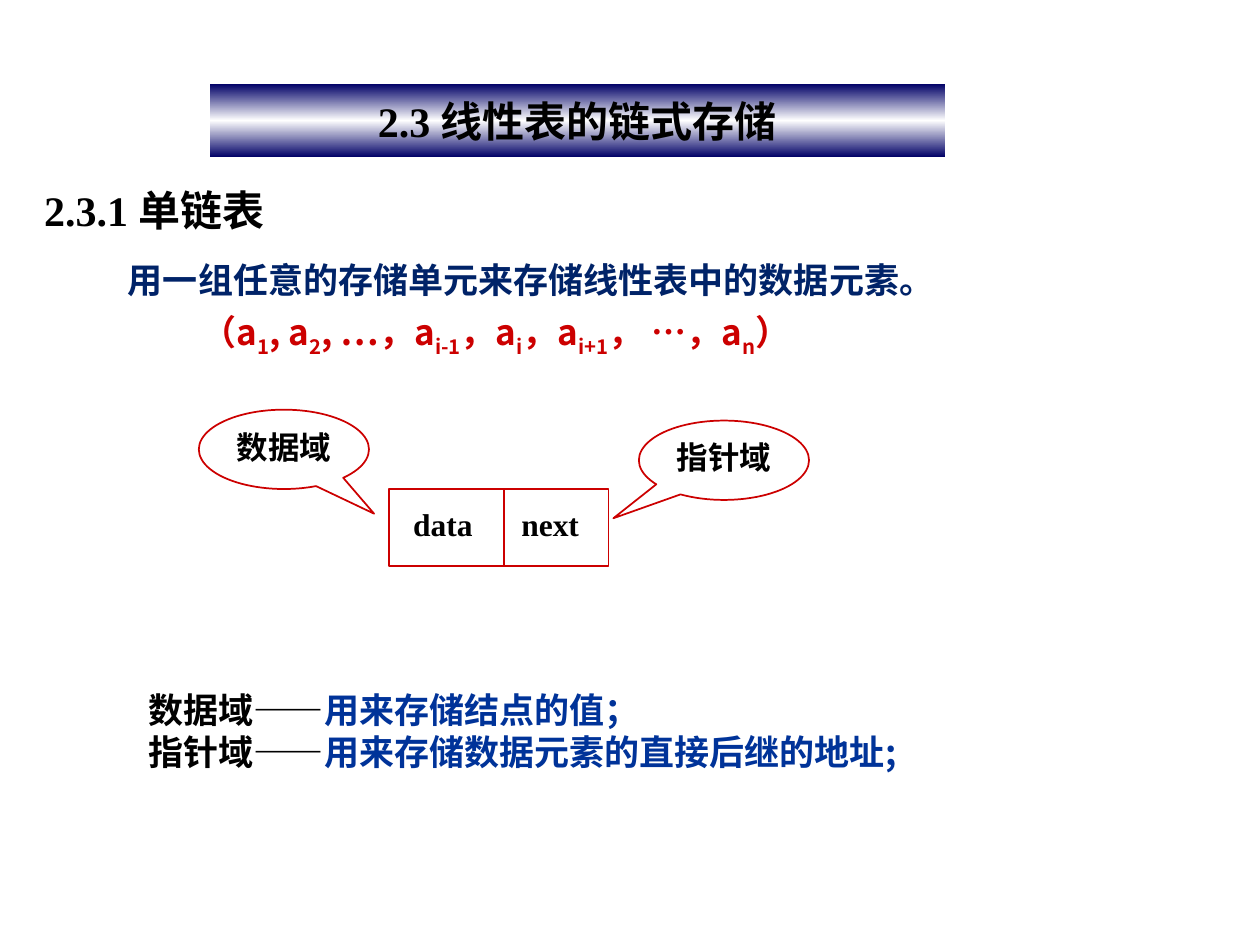
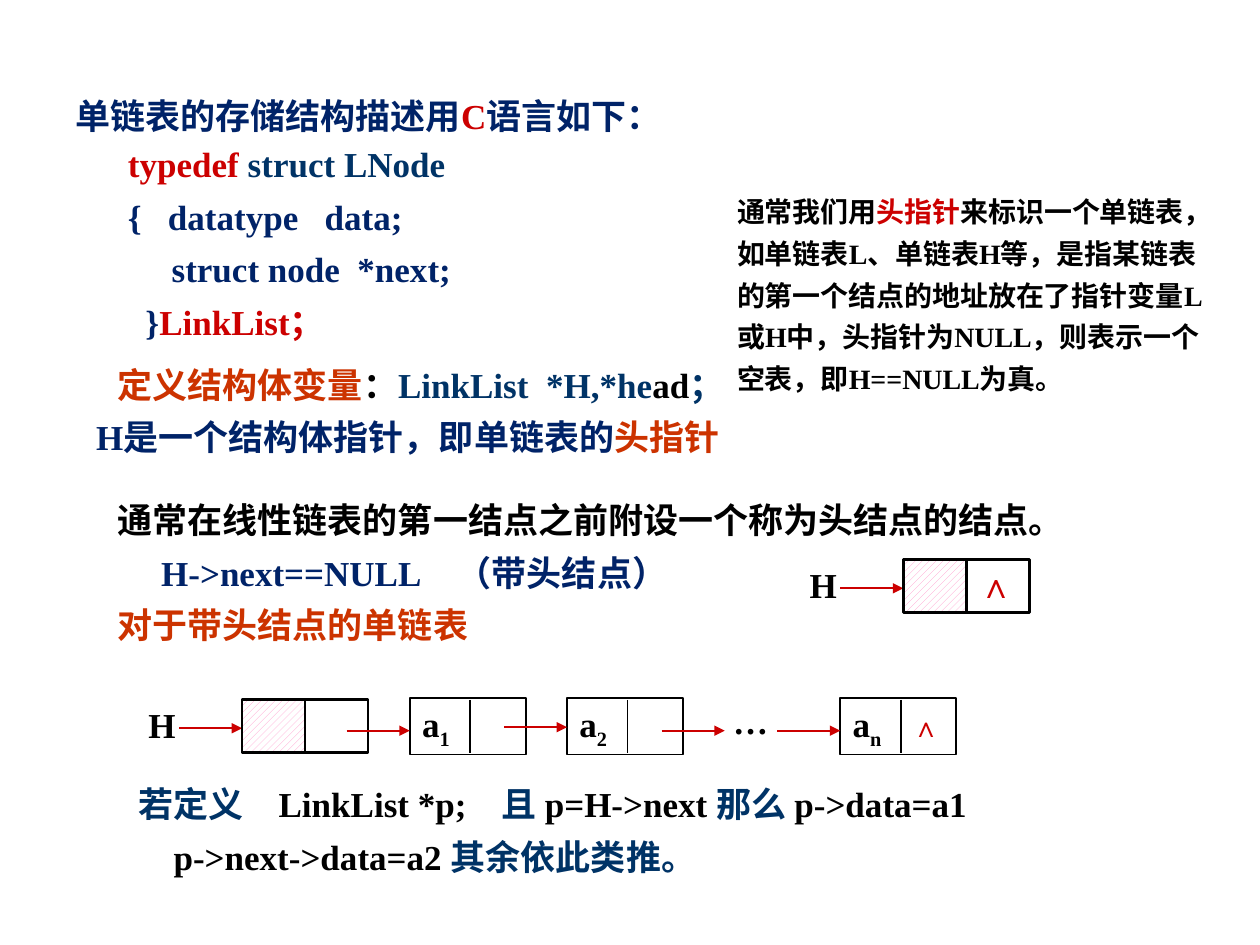
from copy import deepcopy
from dataclasses import dataclass

from lxml.etree import SubElement
from pptx import Presentation
from pptx.dml.color import RGBColor
from pptx.enum.dml import MSO_PATTERN
from pptx.enum.shapes import MSO_CONNECTOR, MSO_SHAPE
from pptx.enum.text import MSO_ANCHOR as Anchor, PP_ALIGN as Align
from pptx.oxml.ns import qn
from pptx.util import Cm, Pt


@dataclass(frozen=True)
class Theme:
    latin: str = "Times New Roman"
    chinese: str = "Noto Sans CJK SC"
    black: str = "000000"
    white: str = "FFFFFF"
    red: str = "CC0000"
    orange: str = "CC3300"
    navy: str = "002368"
    teal: str = "003366"
    blue: str = "003399"
    band: str = "000066"
    hatch: str = "FF99CC"
    heading: int = 24
    body: int = 20
    label: int = 18
    note: int = 16
    loose: float = 1.25


theme = Theme()


def add_text(slide, area, paragraphs, kind=None, outline=None, weight=1,
             size=theme.body, color=theme.black, font=theme.latin,
             align=Align.LEFT, anchor=Anchor.TOP, spacing=None, wrap=True,
             indents=(), tab=None):
    box = [Cm(value) for value in area]
    if kind is None:
        shape = slide.shapes.add_textbox(*box)
    else:
        shape = slide.shapes.add_shape(kind, *box)
        shape.shadow.inherit = False
        shape.fill.background()
        if outline:
            shape.line.color.rgb = RGBColor.from_string(outline)
            shape.line.width = Pt(weight)
        else:
            shape.line.fill.background()
    frame = shape.text_frame
    frame.word_wrap = wrap
    frame.vertical_anchor = anchor
    for index, runs in enumerate(paragraphs):
        paragraph = frame.paragraphs[0] if index == 0 else frame.add_paragraph()
        properties = paragraph._p.get_or_add_pPr()
        if index < len(indents):
            properties.set("marL", str(Cm(indents[index])))
        if tab:
            stops = SubElement(properties, qn("a:tabLst"))
            SubElement(stops, qn("a:tab"), pos=str(Cm(tab)), algn="l")
        paragraph.alignment = align
        if spacing:
            paragraph.line_spacing = spacing
        for text, run_color, run_size in [(*run, color, size)[:3] if len(run) == 1
                                          else (*run, size)[:3] for run in runs]:
            for position, part in enumerate(text.split("_")):
                if not part:
                    continue
                run = paragraph.add_run()
                run.text = part
                run.font.name = font
                run.font.size = Pt(run_size)
                run.font.bold = True
                run.font.color.rgb = RGBColor.from_string(run_color)
                run_properties = run._r.get_or_add_rPr()
                SubElement(run_properties, qn("a:ea"), typeface=theme.chinese)
                if position % 2:
                    run_properties.set("baseline", "-25000")
    return shape


def add_line(slide, start, end, color=theme.red, arrow=False):
    line = slide.shapes.add_connector(
        MSO_CONNECTOR.STRAIGHT, *[Cm(value) for value in (*start, *end)])
    line.line.color.rgb = RGBColor.from_string(color)
    line.line.width = Pt(1)
    if arrow:
        SubElement(line.line._get_or_add_ln(), qn("a:tailEnd"), type="triangle")
    SubElement(line._element.spPr, qn("a:effectLst"))


presentation = Presentation()
presentation.slide_width = Cm(25.4)
presentation.slide_height = Cm(19.05)
blank = presentation.slide_layouts[6]

slide = presentation.slides.add_slide(blank)
banner = add_text(slide, (4.23, 1.69, 14.82, 1.48), [[("2.3 线性表的链式存储",)]],
                  kind=MSO_SHAPE.RECTANGLE, size=theme.heading,
                  align=Align.CENTER, anchor=Anchor.MIDDLE)
banner.fill.gradient()
banner.fill.gradient_angle = 90
stop_list = banner._element.spPr.find(".//" + qn("a:gsLst"))
stop_list.append(deepcopy(stop_list[0]))
for stop, position, color in zip(banner.fill.gradient_stops, (0, 0.5, 1),
                                 (theme.band, theme.white, theme.band)):
    stop.position = position
    stop.color.rgb = RGBColor.from_string(color)

add_text(slide, (0.64, 3.6, 5.93, 1.27), [[("2.3.1 单链表",)]], size=theme.heading)
add_text(slide, (2.33, 4.87, 17.15, 1.32),
         [[("用一组任意的存储单元来存储线性表中的数据元素。",)]],
         color=theme.navy, spacing=theme.loose)
add_text(slide, (3.81, 6.14, 14.61, 1.09),
         [[("（a_1_, a_2_, …，a_i-1_，a_i_，a_i+1_， …，a_n_）",)]],
         color=theme.red, font=theme.chinese)
add_text(slide, (2.75, 13.76, 20.4, 1.96),
         [[("数据域——",), ("用来存储结点的值；", theme.blue)],
          [("指针域——",), ("用来存储数据元素的直接后继的地址;", theme.blue)]],
         font=theme.chinese)

add_text(slide, (7.85, 9.86, 4.42, 1.55), [], kind=MSO_SHAPE.RECTANGLE,
         outline=theme.red)
add_line(slide, (10.16, 9.86), (10.16, 11.41))
for left, field in ((8.08, "data"), (10.26, "next")):
    add_text(slide, (left, 10.06, 1.78, 1.02), [[(field,)]], size=theme.label)
for left, top, field, tip in ((12.88, 8.48, "指针域", (-0.65, 0.73)),
                              (4.01, 8.26, "数据域", (0.53, 0.81))):
    callout = add_text(slide, (left, top, 3.43, 1.6), [[(field,)]],
                       kind=MSO_SHAPE.OVAL_CALLOUT, outline=theme.red,
                       size=theme.label, align=Align.CENTER, wrap=False)
    callout.adjustments[0], callout.adjustments[1] = tip

slide = presentation.slides.add_slide(blank)
add_text(slide, (1.27, 1.48, 12.9, 1.48),
         [[("单链表的存储结构描述用",), ("C", theme.red), ("语言如下：",)]],
         color=theme.navy, anchor=Anchor.MIDDLE, spacing=theme.loose)
add_text(slide, (2.33, 2.54, 9.32, 4.5),
         [[("typedef ", theme.red), ("struct LNode", theme.teal)],
          [("{   datatype   data;",)],
          [("     struct node  *next;",)],
          [("  }",), ("LinkList；", theme.red)]],
         color=theme.navy, spacing=theme.loose)
add_text(slide, (2.12, 7.2, 13.13, 1.09),
         [[("定义结构体变量", theme.orange), ("：",),
           ("LinkList  *H,*he", theme.teal), ("ad",), ("；", theme.teal)]])
add_text(slide, (1.69, 8.26, 13.13, 1.09),
         [[("H是一个结构体指针，即单链表的",), ("头指针", theme.orange)]],
         color=theme.navy)
add_text(slide, (2.12, 9.74, 21.8, 3.38),
         [[("通常在线性链表的第一结点之前附设一个称为头结点的结点。",)],
          [("H->next==NULL　（带头结点）", theme.navy)],
          [("对于带头结点的单链表", theme.orange)]],
         anchor=Anchor.MIDDLE, spacing=theme.loose, indents=(0, 0.88))
add_text(slide, (14.61, 3.6, 9.95, 4.52),
         [[("通常我们用",), ("头指针", theme.red),
           ("来标识一个单链表，如单链表L、单链表H等，是指某链表的第一个结点的地址"
            "放在了指针变量L或H中，头指针为NULL，则表示一个空表，即H==NULL为真。",)]],
         size=theme.note, anchor=Anchor.MIDDLE, spacing=theme.loose)
add_text(slide, (2.54, 15.44, 19.89, 2.36),
         [[("若定义　", theme.teal), ("LinkList *p;　",), ("且 ", theme.teal),
           ("p=H->next ",), ("那么 ", theme.teal), ("p->data=a1",)],
          [("p->next->data=a2 ",), ("其余依此类推。", theme.teal)]],
         spacing=theme.loose, indents=(0, 0.71))

arrow_length = 1.27
cell_width, cell_height = 1.27, 1.07
for left, top in ((18.21, 11.28), (4.88, 14.1)):
    add_text(slide, (left - 2.14, top - 0.05, 1.07, 1.09), [[("H",)]])
    add_line(slide, (left - arrow_length, top + 0.58), (left, top + 0.58), arrow=True)
    for column in range(2):
        cell = add_text(slide, (left + column * cell_width, top, cell_width, cell_height),
                        [], kind=MSO_SHAPE.RECTANGLE, outline=theme.black, weight=1.5)
        if column == 0:
            cell.fill.patterned()
            cell.fill.pattern = MSO_PATTERN.WIDE_UPWARD_DIAGONAL
            cell.fill.fore_color.rgb = RGBColor.from_string(theme.hatch)
            cell.fill.back_color.rgb = RGBColor.from_string(theme.white)
add_text(slide, (19.48, 11.61, 1.07, 0.69), [[("∧", theme.red)]], spacing=0.5)

node_top = 14.07
for left, runs in ((8.26, [("a_1_",)]),
                   (11.43, [("a_2_",)]),
                   (16.94, [("a_n_\t",), ("∧", theme.red, theme.note)])):
    add_text(slide, (left, node_top, 2.34, 1.14), [runs], kind=MSO_SHAPE.RECTANGLE,
             outline=theme.black, anchor=Anchor.MIDDLE, tab=1.2)
    add_line(slide, (left + 1.22, node_top + 0.04), (left + 1.22, node_top + 1.1),
             color=theme.black)
for left, height in ((6.99, 14.73), (10.16, 14.66), (13.34, 14.73), (15.67, 14.73)):
    add_line(slide, (left, height), (left + arrow_length, height), arrow=True)
add_text(slide, (14.53, 13.97, 1.27, 1.09), [[("…",)]])

presentation.save("out.pptx")
